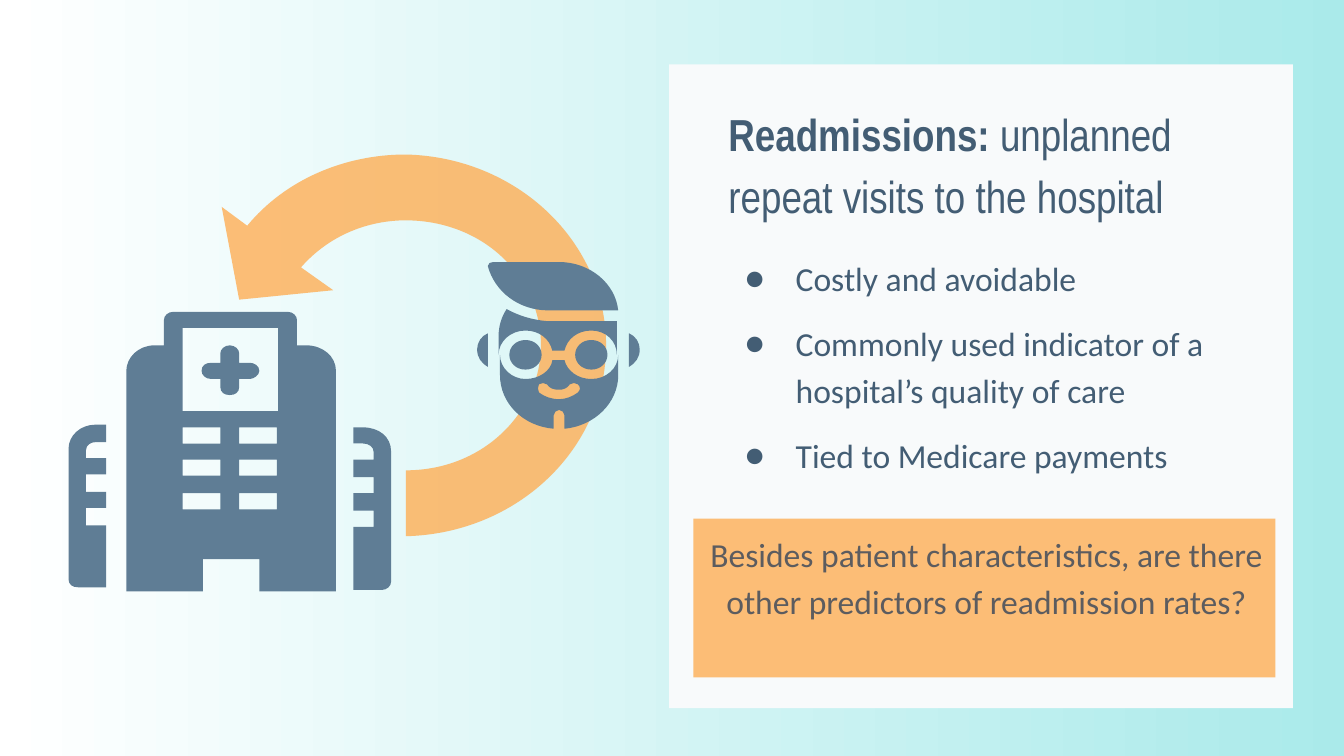
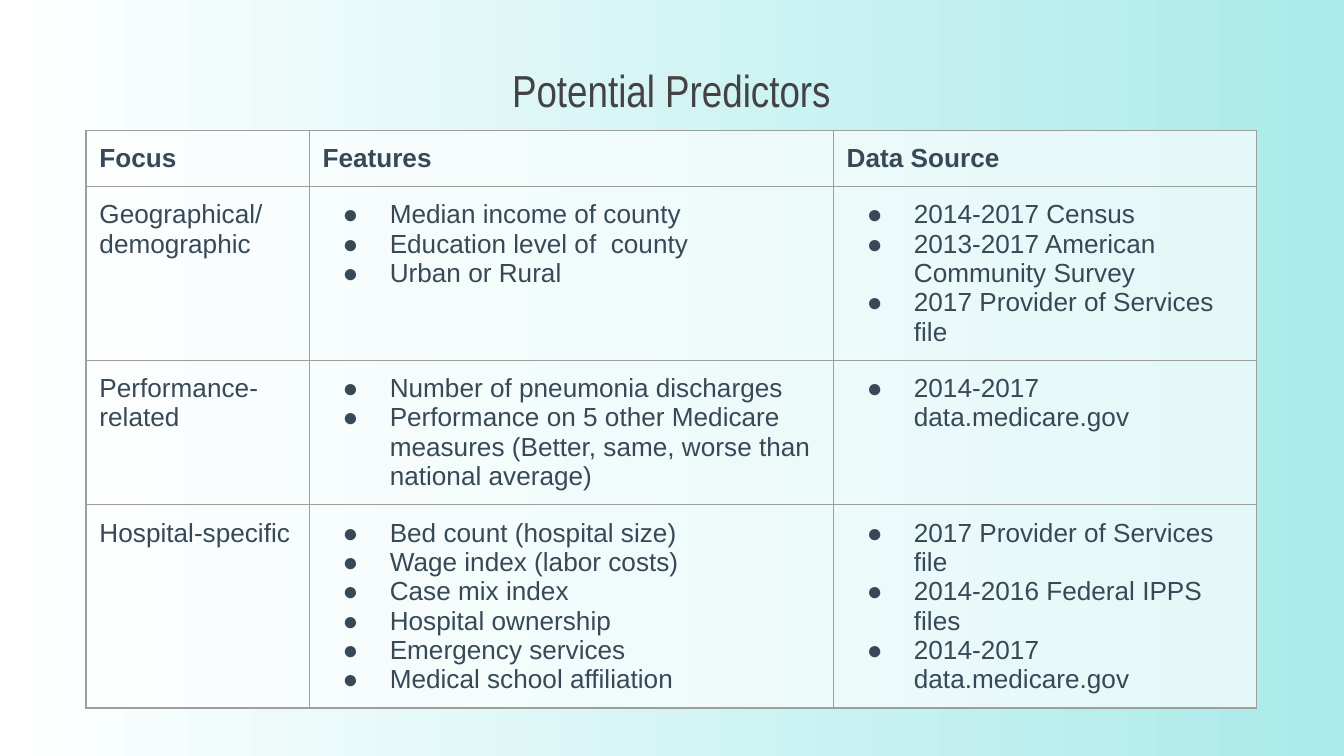
"""Build two slides on hospital readmissions and their potential predictors."""
from lxml import etree
from pptx import Presentation
from pptx.dml.color import RGBColor
from pptx.enum.shapes import MSO_SHAPE
from pptx.enum.text import MSO_ANCHOR, MSO_AUTO_SIZE, PP_ALIGN
from pptx.oxml.ns import qn
from pptx.util import Inches, Pt

RECT = MSO_SHAPE.RECTANGLE
LEFT, MID = PP_ALIGN.LEFT, PP_ALIGN.CENTER
CENTRE, TOP = MSO_ANCHOR.MIDDLE, MSO_ANCHOR.TOP
FIXED = MSO_AUTO_SIZE.NONE

HUES = {
    "white": "FFFFFF", "aqua": "AAEAEA", "panel": "F8FAFB", "orange": "FEAE55",
    "steel": "5F7D95", "navy": "435D74", "ink": "374957", "dark": "434343",
    "grey": "5C5C5F", "rule": "9E9E9E",
}
W = Inches(10)
H = W * 9 // 16
U = W // 1000
PAD = 10 * U


def trace(shapes, text):
    """Draw rings split by '/': a pair is a line, six numbers are a curve."""
    form, parts = None, []
    for ring in text.split("/"):
        legs = []
        for leg in ring.split():
            nums = [int(n) * U for n in leg.split(",")]
            legs.append(list(zip(nums[::2], nums[1::2])))
        start, *legs = legs
        if form:
            form.move_to(*start[0])
        else:
            form = shapes.build_freeform(*start[0])
        form.add_line_segments([leg[-1] for leg in legs], close=True)
        parts += legs
    shape = form.convert_to_shape()
    for line, leg in zip(list(shape._element.iter(qn("a:lnTo"))), parts):
        if len(leg) == 3:
            line.tag = qn("a:cubicBezTo")
            for k, (x, y) in enumerate(leg[:2]):
                spot = etree.Element(qn("a:pt"), x=str(x - shape.left), y=str(y - shape.top))
                line.insert(k, spot)
    return shape


def write(para, text, size, font, hue, bold=False, hang=0):
    """Add a run, with a bullet when hang is given."""
    run = para.add_run()
    run.text = text
    run.font.size, run.font.name, run.font.bold = Pt(size), font, bold
    run.font.color.rgb = RGBColor.from_string(HUES[hue])
    if hang:
        props = para._p.get_or_add_pPr()
        props.set("marL", str(50 * U))
        props.set("indent", str(-hang * U))
        tint = etree.SubElement(props, qn("a:buClr"))
        etree.SubElement(tint, qn("a:srgbClr"), val=HUES[hue])
        etree.SubElement(props, qn("a:buFont"), typeface=font)
        etree.SubElement(props, qn("a:buChar"), char="●")


deck = Presentation()
deck.slide_width, deck.slide_height = W, H
back = deck.slide_master.background.fill
back.gradient()
back.gradient_angle = 0
for stop, hue in zip(back.gradient_stops, ("white", "aqua")):
    stop.color.rgb = RGBColor.from_string(HUES[hue])

visit, table = [deck.slides.add_slide(deck.slide_layouts[5]) for _ in range(2)]
note = visit.shapes.add_textbox(0, 0, U, U)
for box, place, anchor in (
    (visit.shapes.title, (532, 13, 417, 401), CENTRE),
    (table.shapes.title, (149, 15, 701, 103), CENTRE),
    (note, (515, 383, 438, 94), TOP),
):
    box.left, box.top, box.width, box.height = [n * U for n in place]
    frame = box.text_frame
    frame.word_wrap, frame.auto_size = True, FIXED
    frame.vertical_anchor = anchor
    frame.margin_left = frame.margin_right = PAD
    frame.margin_top = frame.margin_bottom = PAD

frame = visit.shapes.title.text_frame
para = frame.paragraphs[0]
para.alignment, para.line_spacing = LEFT, 1.15
write(para, "Readmissions: ", 24, "Arial Narrow", "navy", True)
write(para, "unplanned repeat visits to the hospital", 24, "Arial Narrow", "navy")
for text, before, after in (
    ("Costly and avoidable", 16, 0),
    ("Commonly used indicator of a hospital’s quality of care", 10, 0),
    ("Tied to Medicare payments", 10, 10),
):
    para = frame.add_paragraph()
    para.alignment, para.line_spacing = LEFT, 1.15
    para.space_before, para.space_after = Pt(before), Pt(after)
    write(para, text, 18, "Calibri", "navy", hang=38)

panel = visit.shapes.add_shape(RECT, *[n * U for n in (498, 48, 464, 479)])
visit.shapes._spTree.insert(2, panel._element)
arrow = trace(visit.shapes, """302,115 256,115,212,134,184,168 165,154 178,223 248,216 224,199
    245,175,274,164,302,164 339,164,375,182,393,217 424,279,376,350,302,350 302,399
    385,397,451,334,451,257 451,180,385,117,302,115""")
solids = [(panel, "panel", 100), (arrow, "orange", 80)]

panes = [
    f"{x},{y} {x},{y + 12} {x - 28},{y + 12} {x - 28},{y}"
    for y in (318, 342, 367) for x in (164, 206)
]
cross = """171,257 167,257,164,260,164,263 164,270 157,270 153,270,150,272,150,276
    150,279,153,282,157,282 164,282 164,288 164,292,167,294,171,294
    175,294,178,292,178,288 178,282 186,282 189,282,193,279,193,276
    193,272,189,270,186,270 178,270 178,263 178,260,175,257,171,257"""
west = """71,316 60,316,51,324,51,334 51,431 51,435,54,437,58,437 79,437 79,391 64,391
    64,378 79,378 79,366 64,366 64,353 79,353 79,341 64,341 64,335 64,331,68,329,71,329
    79,329 79,316"""
east = """263,318 263,330 270,330 275,330,278,333,278,336 278,342 263,342 263,355 278,355
    278,367 263,367 263,380 278,380 278,392 263,392 263,439 284,439 288,439,291,436,291,433
    291,336 291,325,282,318,270,318"""
tower = """129,232 125,232,122,235,122,238 122,257 115,257 103,257,94,266,94,276 94,440
    151,440 151,416 193,416 193,440 250,440 250,276 250,265,240,257,228,257 221,257
    221,238 221,235,218,232,214,232"""
sign = "207,244 207,306 136,306 136,244"
ears = (
    "363,248 358,250,355,255,355,260 355,266,358,270,363,273",
    "468,248 468,273 473,270,476,266,476,260 476,255,473,250,468,248",
)
hair = """367,195 365,195,363,196,363,198 368,217,386,231,408,231 460,231
    458,211,439,195,416,195"""
eyes = [
    f"""{x},253 {x - 7},253,{x - 12},258,{x - 12},264 {x - 12},270,{x - 7},275,{x},275
    {x + 7},275,{x + 12},270,{x + 12},264 {x + 12},258,{x + 7},253,{x},253"""
    for x in (391, 440)
]
smile = """427,285 428,285,429,286,430,286 432,288,432,290,430,292 426,295,421,297,416,297
    410,297,405,295,401,292 400,290,400,288,401,286 402,286,403,285,404,285
    405,285,406,286,407,286 409,289,412,290,416,290 419,290,422,289,424,286
    425,286,426,285,427,285"""
jaw = """372,264 372,279 372,300,389,317,412,319 412,309 412,307,414,305,416,305
    418,305,420,307,420,309 420,319 442,317,460,300,460,279 460,264
    460,274,451,282,440,282 430,282,422,276,420,268 411,268 410,276,401,282,391,282
    381,282,372,274,372,264"""
brow = """377,230 373,236,371,243,371,250 371,264 371,254,380,246,391,246
    401,246,409,252,411,261 420,261 422,252,430,246,440,246 451,246,459,254,459,264
    459,239 407,239 396,238,386,235,377,230"""
clinic = visit.shapes.add_group_shape().shapes
face = visit.shapes.add_group_shape().shapes
for group, outlines in (
    (clinic, (cross, west, east, "/".join([sign, *panes, tower]))),
    (face, (ears[0], hair, *eyes, smile + "/" + jaw, brow, ears[1])),
):
    solids += [(trace(group, text), "steel", 100) for text in outlines]

banner = visit.shapes.add_shape(RECT, *[n * U for n in (516, 386, 433, 118)])
solids.append((banner, "orange", 80))
visit.shapes._spTree.append(note._element)
para = note.text_frame.paragraphs[0]
para.alignment, para.line_spacing, para.space_after = MID, 1.15, Pt(16)
write(para, "Besides patient characteristics, are there other predictors of readmission rates?",
      18, "Calibri", "grey")

fills = []
for shape, hue, share in solids:
    shape.shadow.inherit = False
    shape.line.fill.background()
    fills.append((shape.fill, shape._element.spPr, hue, share))

para = table.shapes.title.text_frame.paragraphs[0]
para.alignment = MID
write(para, "Potential Predictors", 24, "Arial Narrow", "dark")

ROWS = [
    (["Focus"], ["Features"], ["Data Source"]),
    (["Geographical/", "demographic"],
     ["Median income of county", "Education level of  county", "Urban or Rural"],
     ["2014-2017 Census", "2013-2017 American Community Survey",
      "2017 Provider of Services file"]),
    (["Performance-", "related"],
     ["Number of pneumonia discharges",
      "Performance on 5 other Medicare measures (Better, same, worse than national average)"],
     ["2014-2017 data.medicare.gov"]),
    (["Hospital-specific"],
     ["Bed count (hospital size)", "Wage index (labor costs)", "Case mix index",
      "Hospital ownership", "Emergency services", "Medical school affiliation"],
     ["2017 Provider of Services file", "2014-2016 Federal IPPS files",
      "2014-2017 data.medicare.gov"]),
]
wide, tall = (166, 390, 315), (40, 83, 62, 62)
place = (64, 97, sum(wide), sum(tall))
grid = table.shapes.add_table(len(tall), len(wide), *[n * U for n in place]).table
grid.first_row = grid.horz_banding = False
for col, size in zip(grid.columns, wide):
    col.width = size * U
for r, (row, size) in enumerate(zip(ROWS, tall)):
    grid.rows[r].height = size * U
    for c, lines in enumerate(row):
        cell = grid.cell(r, c)
        cell.margin_left = cell.margin_right = PAD
        cell.margin_top = cell.margin_bottom = PAD
        frame = cell.text_frame
        for i, text in enumerate(lines):
            para = frame.add_paragraph() if i else frame.paragraphs[0]
            write(para, text, 14, "Arial", "ink", r == 0, 35 if r and c else 0)
        props = cell._tc.get_or_add_tcPr()
        for side in "LRTB":
            edge = etree.SubElement(props, qn(f"a:ln{side}"), w=str(Pt(0.75)))
            solid = etree.SubElement(edge, qn("a:solidFill"))
            etree.SubElement(solid, qn("a:srgbClr"), val=HUES["rule"])
        fills.append((cell.fill, props, "white", 66))

for fill, props, hue, share in fills:
    fill.solid()
    fill.fore_color.rgb = RGBColor.from_string(HUES[hue])
    if share < 100:
        tint = props.find(qn("a:solidFill"))[0]
        etree.SubElement(tint, qn("a:alpha"), val=str(share * 1000))

deck.save("out.pptx")
